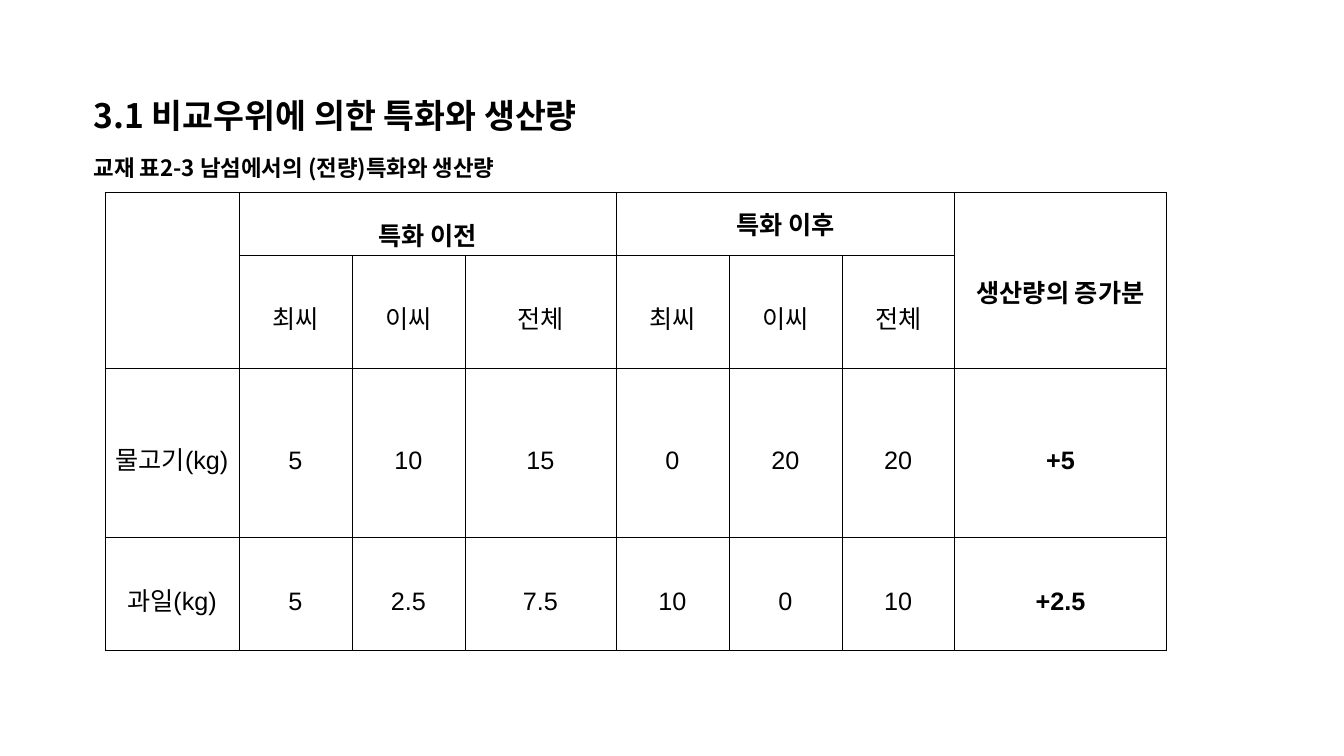
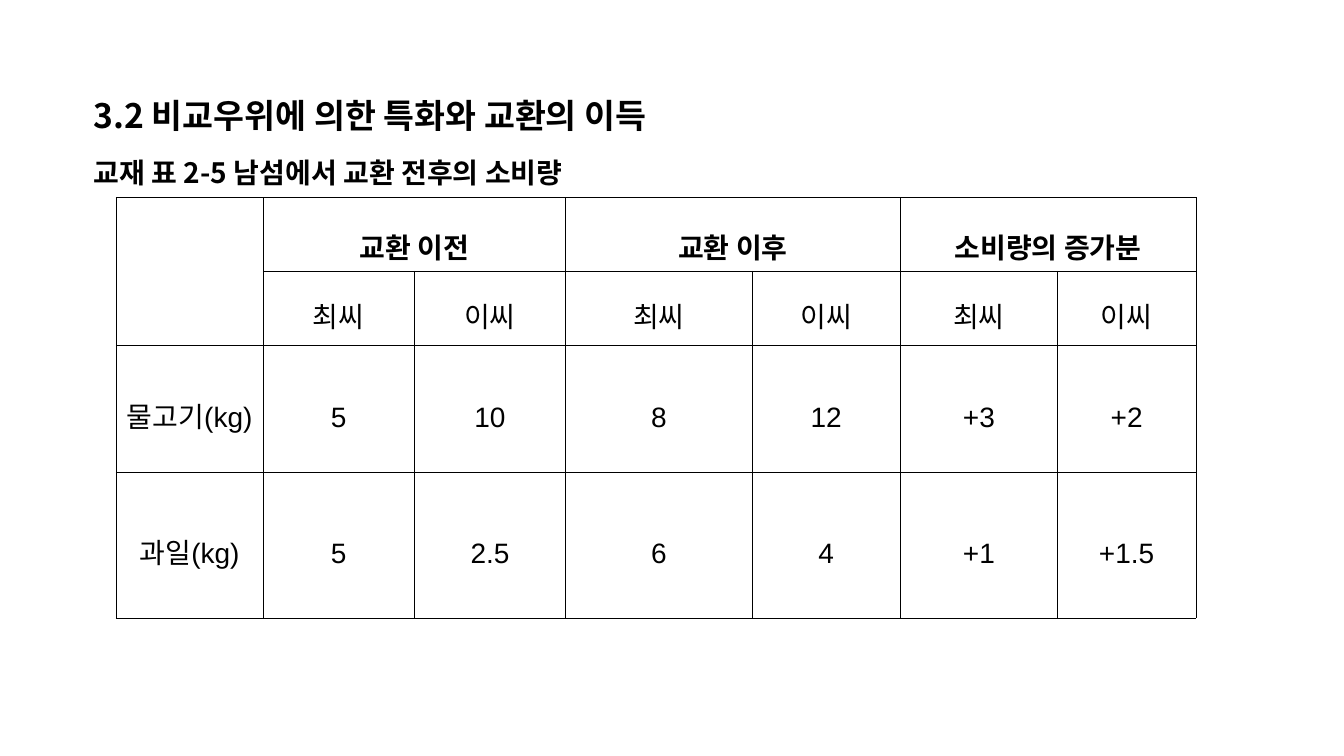
from dataclasses import dataclass

from lxml import etree
from pptx import Presentation
from pptx import util as u
from pptx.dml.color import RGBColor
from pptx.enum import text
from pptx.oxml.ns import qn


@dataclass(frozen=True)
class Theme:
    ink: str = "000000"
    heading_font: str = "Noto Sans CJK KR"
    cell_font: str = "Arial"
    heading_size: float = 24
    rule: float = 0.28
    heading_leading: float = 1.28
    cell_leading: float = 1.6
    cell_inset: tuple = (0.07, 0.02)


THEME = Theme()
SLIDE_SIZE = (13.33, 7.5)
LEFT, TEXT_WIDTH = 0.83, 11.58
HEADING_TOP, CAPTION_TOP, CAPTION_HEIGHT = 0.78, 1.4, 0.5

# A span is (row, column, rows, columns); None marks a cell covered by a span.
LESSONS = [
    {
        "heading": "3.1 비교우위에 의한 특화와 생산량",
        "caption": "교재 표2-3 남섬에서의 (전량)특화와 생산량",
        "caption_size": 16,
        "cell_size": 18,
        "origin": (1.04, 1.91),
        "columns": [1.33, 1.12, 1.12, 1.5, 1.12, 1.12, 1.12, 2.1],
        "rows": [0.56, 1.12, 1.68, 1.12],
        "spans": [(0, 0, 2, 1), (0, 1, 1, 3), (0, 4, 1, 3), (0, 7, 2, 1)],
        "bold_columns": {7},
        "single_spaced": {"특화 이후"},
        "cells": [
            [None, "특화 이전", None, None, "특화 이후", None, None, "생산량의 증가분"],
            [None, "최씨", "이씨", "전체", "최씨", "이씨", "전체", None],
            ["물고기(kg)", "5", "10", "15", "0", "20", "20", "+5"],
            ["과일(kg)", "5", "2.5", "7.5", "10", "0", "10", "+2.5"],
        ],
    },
    {
        "heading": "3.2 비교우위에 의한 특화와 교환의 이득",
        "caption": "교재 표 2-5 남섬에서 교환 전후의 소비량",
        "caption_size": 20,
        "cell_size": 20,
        "origin": (1.15, 1.96),
        "columns": [1.46, 1.5, 1.5, 1.85, 1.47, 1.56, 1.37],
        "rows": [0.73, 0.73, 1.26, 1.45],
        "spans": [(0, 0, 2, 1), (0, 1, 1, 2), (0, 3, 1, 2), (0, 5, 1, 2)],
        "bold_columns": set(),
        "single_spaced": set(),
        "cells": [
            [None, "교환 이전", None, "교환 이후", None, "소비량의 증가분", None],
            [None, "최씨", "이씨", "최씨", "이씨", "최씨", "이씨"],
            ["물고기(kg)", "5", "10", "8", "12", "+3", "+2"],
            ["과일(kg)", "5", "2.5", "6", "4", "+1", "+1.5"],
        ],
    },
]


def style_paragraph(paragraph, size, font, bold, align, leading):
    paragraph.alignment = align
    paragraph.line_spacing = leading
    paragraph.space_before = u.Pt(0)
    for run in paragraph.runs:
        run.font.size = u.Pt(size)
        run.font.bold = bold
        run.font.name = font
        run.font.color.rgb = RGBColor.from_string(THEME.ink)
        etree.SubElement(run._r.get_or_add_rPr(), qn("a:ea"), typeface=font)


def place_layout(layout):
    """Set the heading and caption positions every slide inherits."""
    heading, caption = layout.placeholders[0], layout.placeholders[1]
    for holder, top, height in (
        (heading, HEADING_TOP, CAPTION_TOP - HEADING_TOP),
        (caption, CAPTION_TOP, CAPTION_HEIGHT),
    ):
        holder.left, holder.top = u.Inches(LEFT), u.Inches(top)
        holder.width, holder.height = u.Inches(TEXT_WIDTH), u.Inches(height)


def fill_placeholder(holder, words, size):
    frame = holder.text_frame
    frame.text = words
    frame.word_wrap = True
    frame.auto_size = text.MSO_AUTO_SIZE.NONE
    frame.vertical_anchor = text.MSO_ANCHOR.TOP
    paragraph = frame.paragraphs[0]
    properties = paragraph._p.get_or_add_pPr()
    properties.set("marL", "0")
    properties.set("indent", "0")
    etree.SubElement(properties, qn("a:buNone"))
    style_paragraph(paragraph, size, THEME.heading_font, True,
                    text.PP_ALIGN.JUSTIFY, THEME.heading_leading)


def rule_cell(cell):
    """Draw a thin line on all four sides of a cell without fill."""
    cell.fill.background()
    properties = cell._tc.get_or_add_tcPr()
    for position, side in enumerate(("lnL", "lnR", "lnT", "lnB")):
        line = etree.Element(qn(f"a:{side}"), w=str(u.Pt(THEME.rule)))
        solid = etree.SubElement(line, qn("a:solidFill"))
        etree.SubElement(solid, qn("a:srgbClr"), val=THEME.ink)
        properties.insert(position, line)


def add_grid(slide, lesson):
    columns, rows = lesson["columns"], lesson["rows"]
    grid = slide.shapes.add_table(
        len(rows), len(columns), *map(u.Inches, lesson["origin"]),
        u.Inches(sum(columns)), u.Inches(sum(rows))).table
    grid.first_row = grid.horz_banding = False
    for column, width in zip(grid.columns, columns):
        column.width = u.Inches(width)
    for row, height in zip(grid.rows, rows):
        row.height = u.Inches(height)

    side, edge = map(u.Inches, THEME.cell_inset)
    for r, values in enumerate(lesson["cells"]):
        for c, value in enumerate(values):
            cell = grid.cell(r, c)
            rule_cell(cell)
            cell.margin_left = cell.margin_right = side
            cell.margin_top = cell.margin_bottom = edge
            cell.vertical_anchor = text.MSO_ANCHOR.MIDDLE
            if value is None:
                continue
            cell.text_frame.text = value
            style_paragraph(
                cell.text_frame.paragraphs[0], lesson["cell_size"],
                THEME.heading_font if r == 0 else THEME.cell_font,
                r == 0 or c in lesson["bold_columns"], text.PP_ALIGN.CENTER,
                1.0 if value in lesson["single_spaced"] else THEME.cell_leading)
    for r, c, height, width in lesson["spans"]:
        grid.cell(r, c).merge(grid.cell(r + height - 1, c + width - 1))


def main():
    deck = Presentation()
    deck.slide_width, deck.slide_height = map(u.Inches, SLIDE_SIZE)
    layout = deck.slide_layouts[1]
    place_layout(layout)
    for lesson in LESSONS:
        slide = deck.slides.add_slide(layout)
        heading, caption = slide.placeholders[0], slide.placeholders[1]
        fill_placeholder(heading, lesson["heading"], THEME.heading_size)
        fill_placeholder(caption, lesson["caption"], lesson["caption_size"])
        add_grid(slide, lesson)
    deck.save("out.pptx")


if __name__ == "__main__":
    main()
